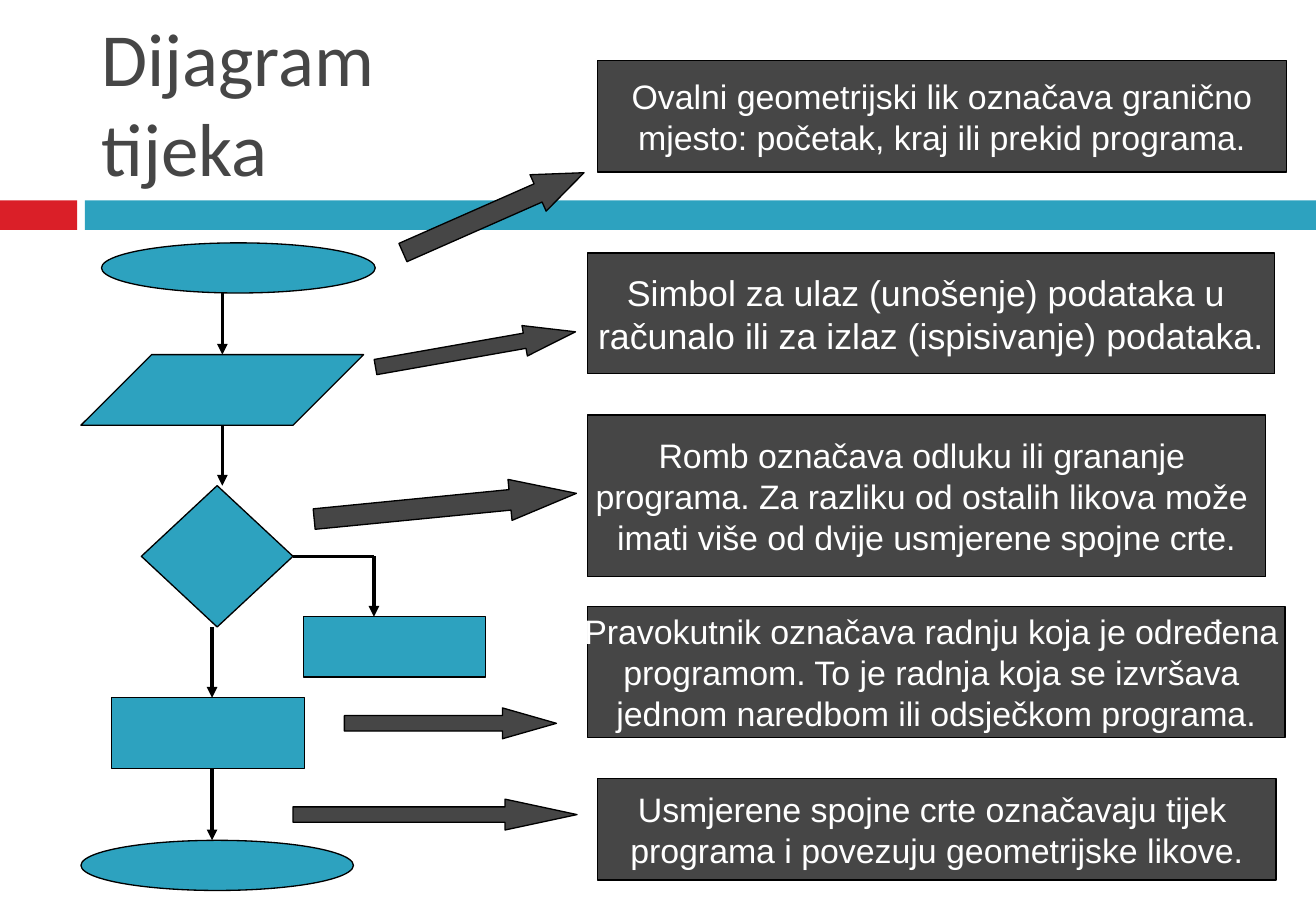
from lxml.etree import SubElement
from pptx import Presentation
from pptx.dml.color import RGBColor as Color
from pptx.enum.shapes import MSO_CONNECTOR as Link, MSO_SHAPE as Kind
from pptx.enum.text import MSO_ANCHOR as Anchor, MSO_AUTO_SIZE as Auto, PP_ALIGN as Align
from pptx.oxml.ns import qn
from pptx.util import Inches, Pt

HUES = {"red": "DA1F28", "teal": "2DA2BF", "dark": "464646", "ink": "000000", "white": "FFFFFF"}

BARS = [("red", (0, 1.56, 0.6, 0.23)), ("teal", (0.66, 1.56, 9.58, 0.23))]

STEPS = [
    (Kind.OVAL, (0.79, 1.89, 2.13, 0.39)),
    (Kind.PARALLELOGRAM, (0.63, 2.76, 2.2, 0.55)),
    (Kind.FLOWCHART_DECISION, (1.1, 3.78, 1.18, 1.1)),
    (Kind.RECTANGLE, (2.36, 4.8, 1.42, 0.47)),
    (Kind.RECTANGLE, (0.87, 5.43, 1.5, 0.55)),
    (Kind.OVAL, (0.63, 6.54, 2.12, 0.39)),
]

LINKS = [
    ((1.73, 2.28), (1.73, 2.76), True),
    ((1.73, 3.31), (1.73, 3.78), True),
    ((2.28, 4.33), (2.91, 4.33), False),
    ((2.91, 4.33), (2.91, 4.8), True),
    ((1.65, 4.88), (1.65, 5.43), True),
    ((1.65, 5.98), (1.65, 6.54), True),
]

ARROWS = [
    ((3.07, 1.5, 1.54, 0.31), 336.2, 1.26),
    ((2.91, 2.6, 1.58, 0.24), 350, 1.67),
    ((2.44, 3.78, 2.05, 0.32), 354.4, 1.62),
    ((2.68, 5.51, 1.65, 0.24), 0, 1.75),
    ((2.28, 6.22, 2.21, 0.24), 0, 2.33),
]

NOTES = [
    ((4.65, 0.47, 5.36, 0.87), 19, [
        "Ovalni geometrijski lik označava granično",
        "mjesto: početak, kraj ili prekid programa."]),
    ((4.57, 1.97, 5.35, 0.94), 20, [
        "Simbol za ulaz (unošenje) podataka u ",
        "računalo ili za izlaz (ispisivanje) podataka."]),
    ((4.57, 3.23, 5.28, 1.26), 19, [
        "Romb označava odluku ili grananje ",
        "programa. Za razliku od ostalih likova može ",
        "imati više od dvije usmjerene spojne crte."]),
    ((4.57, 4.72, 5.43, 1.02), 19, [
        "Pravokutnik označava radnju koja je određena ",
        "programom. To je radnja koja se izvršava ",
        "jednom naredbom ili odsječkom programa."]),
    ((4.65, 6.06, 5.28, 0.79), 19, [
        "Usmjerene spojne crte označavaju tijek ",
        "programa i povezuju geometrijske likove."]),
]


def hue(name):
    return Color.from_string(HUES[name])


def apply(item, **values):
    for name, value in values.items():
        setattr(item, name, value)


def style(font, face, size, shade):
    apply(font, name=face, size=Pt(size))
    font.color.rgb = hue(shade)


def add_form(slide, kind, area, shade, edge=True):
    form = slide.shapes.add_shape(kind, *map(Inches, area))
    form.shadow.inherit = False
    form.fill.solid()
    form.fill.fore_color.rgb = hue(shade)
    if edge:
        form.line.color.rgb = hue("ink")
        form.line.width = Pt(0.75)
    else:
        form.line.fill.background()
    return form


def add_arrow(slide, area, turn, head):
    arrow = add_form(slide, Kind.RIGHT_ARROW, area, "dark")
    arrow.rotation = turn
    arrow.adjustments[1] = head


def add_link(slide, start, end, tip):
    link = slide.shapes.add_connector(Link.STRAIGHT, *map(Inches, start + end))
    link.line.color.rgb = hue("ink")
    link.line.width = Pt(2)
    if tip:
        SubElement(link.line._get_or_add_ln(), qn("a:tailEnd"), type="triangle")
    SubElement(link._element.spPr, qn("a:effectLst"))


def add_note(slide, area, size, lines):
    frame = add_form(slide, Kind.RECTANGLE, area, "dark").text_frame
    apply(frame, word_wrap=False, vertical_anchor=Anchor.MIDDLE, text="\n".join(lines))
    for para in frame.paragraphs:
        para.alignment = Align.CENTER
        style(para.font, "Arial", size, "white")


def set_title(slide, text):
    title = slide.shapes.title
    apply(title, left=Inches(0.68), top=Inches(0.16), width=Inches(3.65), height=Inches(1.39))
    frame = title.text_frame
    apply(frame, text=text, word_wrap=True, auto_size=Auto.NONE, vertical_anchor=Anchor.BOTTOM,
          margin_left=Inches(0.11), margin_right=Inches(0.11),
          margin_top=Inches(0.06), margin_bottom=Inches(0.06))
    para = frame.paragraphs[0]
    para.alignment = Align.LEFT
    style(para.font, "Calibri", 42, "dark")


def main():
    deck = Presentation()
    apply(deck, slide_width=Inches(10.24), slide_height=Inches(7.09))
    slide = deck.slides.add_slide(deck.slide_layouts[5])
    set_title(slide, "Dijagram tijeka")
    for shade, area in BARS:
        add_form(slide, Kind.RECTANGLE, area, shade, edge=False)
    for note in NOTES:
        add_note(slide, *note)
    for kind, area in STEPS:
        step = add_form(slide, kind, area, "teal")
        if kind == Kind.PARALLELOGRAM:
            step.adjustments[0] = 1
    for link in LINKS:
        add_link(slide, *link)
    for arrow in ARROWS:
        add_arrow(slide, *arrow)
    deck.save("out.pptx")


if __name__ == "__main__":
    main()
